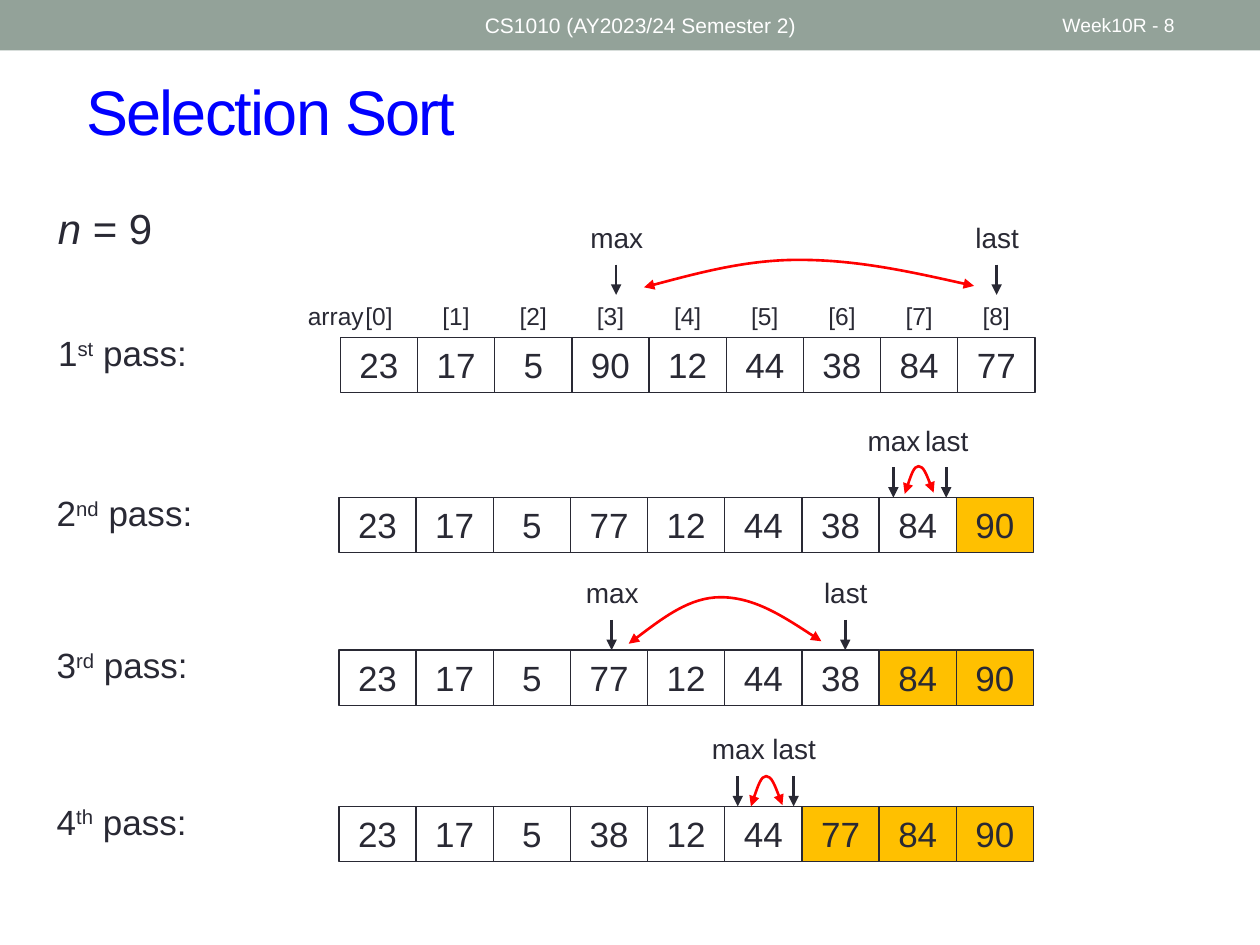
from lxml.etree import SubElement
from pptx import Presentation
from pptx.dml.color import RGBColor
from pptx.enum.shapes import MSO_CONNECTOR, MSO_SHAPE
from pptx.enum.text import MSO_ANCHOR, MSO_AUTO_SIZE, PP_ALIGN
from pptx.oxml.ns import qn
from pptx.util import Pt

INK, RED, GOLD = "292934", "FF0000", "FFC000"
WIDE, HIGH = 44.1, 31.5  # size of one array cell

# label, suffix, left, top, arrow tip, values, sorted count, max x, last x, curve
# curve: start, peak and end points
ROWS = [
    ("1", "st", 194.5, 193, 168.5, (23, 17, 5, 90, 12, 44, 38, 84, 77), 0,
     352.1, 569.5, ((368, 164.2), (456.5, 148.5), (556.6, 163.4))),
    ("2", "nd", 193.7, 284.4, 284.4, (23, 17, 5, 77, 12, 44, 38, 84, 90), 1,
     510.5, 540.7, ((517, 282.2), (524.9, 266.4), (533.5, 281.5))),
    ("3", "rd", 193.7, 371.5, 371.5, (23, 17, 5, 77, 12, 44, 38, 84, 90), 2,
     349.5, 483, ((359.3, 367.9), (411.8, 341.3), (469.4, 366.5))),
    ("4", "th", 193.7, 460.8, 460.8, (23, 17, 5, 38, 12, 44, 77, 84, 90), 3,
     421.6, 453.5, ((429.1, 460.8), (437.8, 443.5), (447.1, 460.1))),
]


def tint(code):
    return RGBColor.from_string(code)


def write(shape, *parts, size=20, color=INK, align=PP_ALIGN.LEFT,
          anchor=MSO_ANCHOR.TOP, wrap=True, grow=True):
    """Fill a shape with runs; a part is a string or (string, run attributes)."""
    frame = shape.text_frame
    frame.word_wrap = wrap
    frame.auto_size = MSO_AUTO_SIZE.SHAPE_TO_FIT_TEXT if grow else MSO_AUTO_SIZE.NONE
    frame.vertical_anchor = anchor
    para = frame.paragraphs[0]
    para.alignment = align
    for part in parts:
        words, attrs = (part, {}) if isinstance(part, str) else part
        run = para.add_run()
        run.text = words
        run.font.size, run.font.name = Pt(size), "Arial"
        run.font.color.rgb = tint(color)
        for key, value in attrs.items():
            run.font._element.set(key, value)


def label(slide, x, y, w, h, *parts, **style):
    box = slide.shapes.add_textbox(Pt(x), Pt(y), Pt(w), Pt(h))
    write(box, *parts, **style)


def block(slide, x, y, w, h, fill=None, line=None):
    shape = slide.shapes.add_shape(MSO_SHAPE.RECTANGLE, Pt(x), Pt(y), Pt(w), Pt(h))
    shape.shadow.inherit = False
    if fill:
        shape.fill.solid()
        shape.fill.fore_color.rgb = tint(fill)
    else:
        shape.fill.background()
    if line:
        shape.line.color.rgb = tint(line)
        shape.line.width = Pt(0.75)
    else:
        shape.line.fill.background()
    return shape


def stroke(shape, color, *ends):
    """Line colour, width and triangle heads at the given ends."""
    shape.line.color.rgb = tint(color)
    shape.line.width = Pt(1.5)
    for end in ends:
        SubElement(shape.line._ln, qn(f"a:{end}"), type="triangle")


def marker(slide, name, x, tip, shift, w, wrap):
    """Name with a short arrow pointing down to a cell."""
    top = tip - 17.3
    arrow = slide.shapes.add_connector(
        MSO_CONNECTOR.STRAIGHT, Pt(x), Pt(top), Pt(x), Pt(tip))
    stroke(arrow, INK, "tailEnd")
    SubElement(arrow._element.spPr, qn("a:effectLst"))
    label(slide, x - shift, top - 28.8, w, 26.6, name, size=16, wrap=wrap)


def swap(slide, start, peak, end):
    """Double-headed curve made of two Bezier arcs that meet at the peak."""
    (ax, ay), (px, py), (bx, by) = start, peak, end
    points = [(ax + (px - ax) / 3, (ay + py) / 2), (ax + (px - ax) * 2 / 3, py), peak,
              (px + (bx - px) / 3, py), (px + (bx - px) * 2 / 3, (by + py) / 2), end]
    pen = slide.shapes.build_freeform(Pt(ax), Pt(ay))
    pen.add_line_segments([(Pt(x), Pt(y)) for x, y in points], close=False)
    shape = pen.convert_to_shape()
    shape.shadow.inherit = False
    shape.fill.background()
    stroke(shape, RED, "headEnd", "tailEnd")
    # Each three line points become one cubic arc
    lines = list(shape._element.iter(qn("a:lnTo")))
    track = lines[0].getparent()
    for i in range(0, len(lines), 3):
        arc = SubElement(track, qn("a:cubicBezTo"))
        for line in lines[i:i + 3]:
            arc.append(line[0])
            track.remove(line)


def array(slide, left, top, values, done):
    for i, value in enumerate(values):
        fill = GOLD if i >= len(values) - done else None
        cell = block(slide, left + i * WIDE, top, WIDE, HIGH, fill, INK)
        write(cell, str(value), align=PP_ALIGN.CENTER)


def main():
    deck = Presentation()
    deck.slide_width, deck.slide_height = Pt(720), Pt(540)
    slide = deck.slides.add_slide(deck.slide_layouts[5])

    # Header band
    block(slide, 0, 0, 720, 28.8, "93A299")
    head = dict(color="FFFFFF", anchor=MSO_ANCHOR.MIDDLE, grow=False)
    label(slide, 270, 1.4, 324, 26, "CS1010 (AY2023/24 Semester 2)", size=12, **head)
    label(slide, 600, 1.4, 84, 26, "Week10R - 8", size=11, **head)

    # Title and array size
    title = slide.shapes.title
    title.left, title.top, title.width, title.height = Pt(42), Pt(30.2), Pt(660), Pt(66.2)
    write(title, ("Selection Sort", {"spc": "-100"}), size=36, color="0000FF",
          anchor=MSO_ANCHOR.MIDDLE, grow=False)
    label(slide, 26, 112.3, 100, 36, ("n", {"i": "1"}), " = 9", size=24)

    # Index labels
    mid = dict(size=14, align=PP_ALIGN.CENTER)
    for i in range(9):
        label(slide, 194.5 + i * WIDE, 168.5, WIDE, 24.5, f"[{i}]", **mid)
    label(slide, 164.9, 168.5, 54, 24.5, "array", **mid)

    # Passes
    for num, suffix, left, top, tip, values, done, high, last, curve in ROWS:
        label(slide, left - 168.4, top - 7.1, 100, HIGH,
              num, (suffix, {"baseline": "30000"}), " pass:")
        array(slide, left, top, values, done)
        marker(slide, "last", last, tip, 19.2, 44.6, True)
        marker(slide, "max", high, tip, 21.8, 45.4, False)
        swap(slide, *curve)

    deck.save("out.pptx")


if __name__ == "__main__":
    main()
